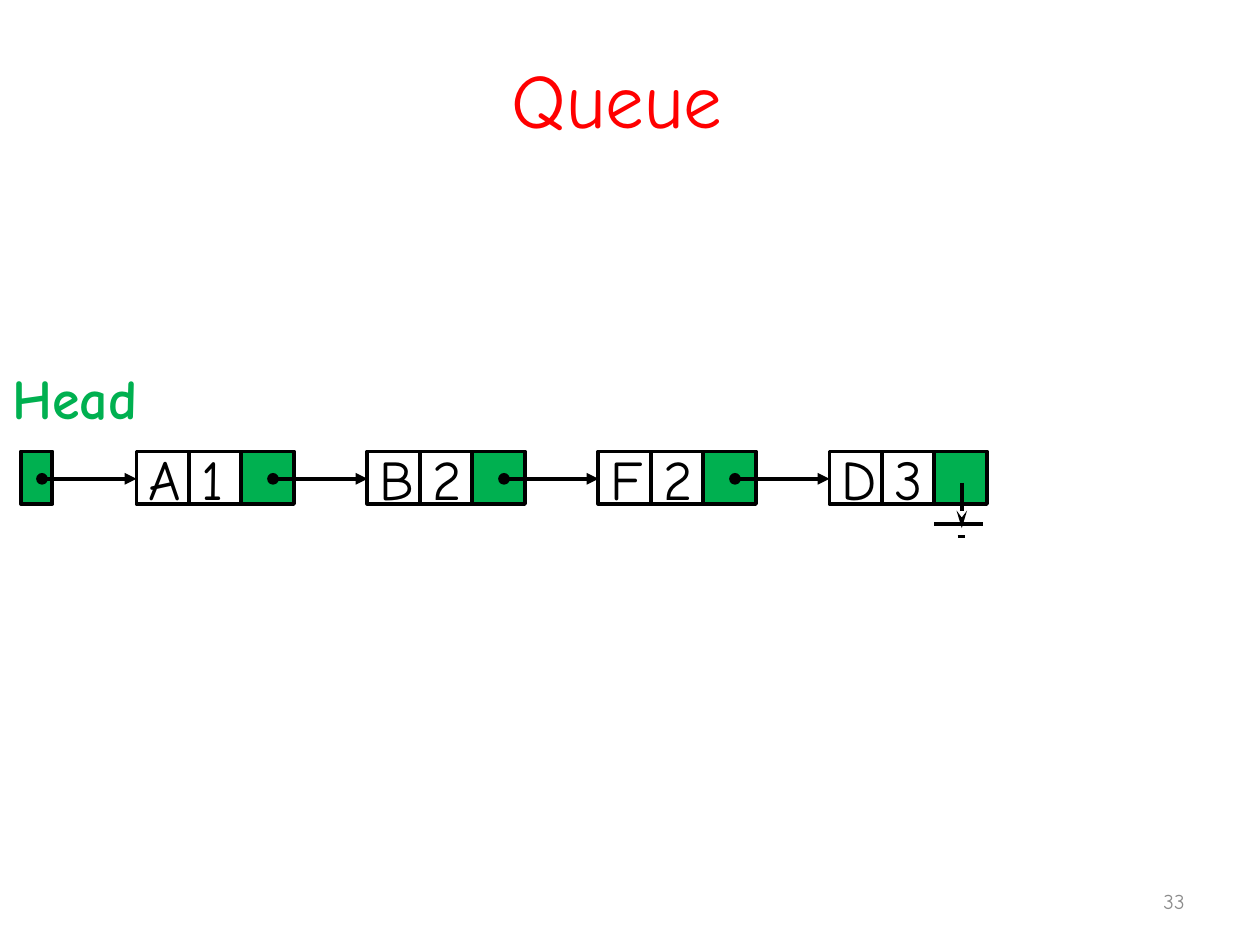
import pptx
import pptx.util
import pptx.dml.color
import pptx.enum.shapes
import pptx.enum.text
import pptx.oxml
import pptx.oxml.ns

Align = pptx.enum.text.PP_ALIGN
Anchor = pptx.enum.text.MSO_ANCHOR
RGBColor = pptx.dml.color.RGBColor

TITLE = "Queue "
HEAD_LABEL = "Head"
PAGE_NUMBER = "33"
NODES = [("A", "1"), ("B", "2"), ("F", "2"), ("D", "3")]

FONT = "Comic Neue"
BLACK = RGBColor(0x00, 0x00, 0x00)
RED = RGBColor(0xFF, 0x00, 0x00)
GREEN = RGBColor(0x00, 0xB0, 0x50)
GRAY = RGBColor(0x8C, 0x8C, 0x8C)

PX = 7620
SLIDE_WIDTH, SLIDE_HEIGHT = 1200, 900
CELL = 50
NODE_LEFT, NODE_TOP, NODE_PITCH = 130, 430, 220
HEAD_LEFT, HEAD_WIDTH = 20, 30
LINK_Y, LINK_LENGTH = 456, 90
LINK_ENDS = {"headEnd": 'type="oval"', "tailEnd": 'type="triangle"'}
GROUND_LINES = [
    ((916, 460), (916, 503), {"tailEnd": 'type="stealth" len="lg"'}),
    ((890, 499), (936, 499), {}),
    ((912, 511), (919, 511), {}),
]


def px(*values):
    return [pptx.util.Emu(value * PX) for value in values]


def write(shape, text, size, color, align=Align.LEFT, anchor=Anchor.MIDDLE, bold=False, wrap=True):
    frame = shape.text_frame
    frame.word_wrap = wrap
    frame.vertical_anchor = anchor
    paragraph = frame.paragraphs[0]
    paragraph.alignment = align
    run = paragraph.add_run()
    run.text = text
    run.font.name = FONT
    run.font.size = pptx.util.Pt(size)
    run.font.bold = bold
    run.font.color.rgb = color


def add_text(slide, box, *args, **options):
    write(slide.shapes.add_textbox(*px(*box)), *args, **options)


def add_cell(parent, left, width=CELL, text=None):
    shape = parent.shapes.add_shape(
        pptx.enum.shapes.MSO_SHAPE.RECTANGLE, *px(left, NODE_TOP, width, CELL))
    shape.shadow.inherit = False
    shape.line.color.rgb = BLACK
    shape.line.width = pptx.util.Pt(2.25)
    if text:
        shape.fill.background()
        write(shape, text, 32, BLACK, wrap=False)
    else:
        shape.fill.solid()
        shape.fill.fore_color.rgb = GREEN


def add_node(slide, left, key, value):
    group = slide.shapes.add_group_shape()
    add_cell(group, left + CELL, text=value)
    add_cell(group, left, text=key)
    add_cell(group, left + 2 * CELL)


def add_line(parent, start, end, width, ends):
    connector = parent.shapes.add_connector(
        pptx.enum.shapes.MSO_CONNECTOR.STRAIGHT, *px(*start, *end))
    connector.line.color.rgb = BLACK
    connector.line.width = pptx.util.Pt(width)
    outline = connector.line._get_or_add_ln()
    namespace = pptx.oxml.ns.nsdecls("a")
    for tag, attributes in ends.items():
        outline.append(pptx.oxml.parse_xml(f"<a:{tag} {namespace} {attributes}/>"))
    connector._element.spPr.append(pptx.oxml.parse_xml(f"<a:effectLst {namespace}/>"))


def main():
    presentation = pptx.Presentation()
    presentation.slide_width, presentation.slide_height = px(SLIDE_WIDTH, SLIDE_HEIGHT)
    slide = presentation.slides.add_slide(presentation.slide_layouts[6])

    add_text(slide, (60, 36, 1080, 114), TITLE, 44, RED, align=Align.CENTER)
    add_text(slide, (860, 834, 280, 48), PAGE_NUMBER, 12, GRAY, align=Align.RIGHT)

    node_lefts = [NODE_LEFT + index * NODE_PITCH for index in range(len(NODES))]
    for left, (key, value) in zip(node_lefts, NODES):
        add_node(slide, left, key, value)

    for target in node_lefts[1:] + node_lefts[:1]:
        if target == NODE_LEFT:
            add_cell(slide, HEAD_LEFT, HEAD_WIDTH)
        add_line(slide, (target - LINK_LENGTH, LINK_Y), (target, LINK_Y), 2.25, LINK_ENDS)

    ground = slide.shapes.add_group_shape()
    for start, end, ends in GROUND_LINES:
        add_line(ground, start, end, 2, ends)

    add_text(slide, (0, 340, 240, 77), HEAD_LABEL, 32, GREEN, anchor=Anchor.TOP, bold=True)
    presentation.save("out.pptx")


if __name__ == "__main__":
    main()
